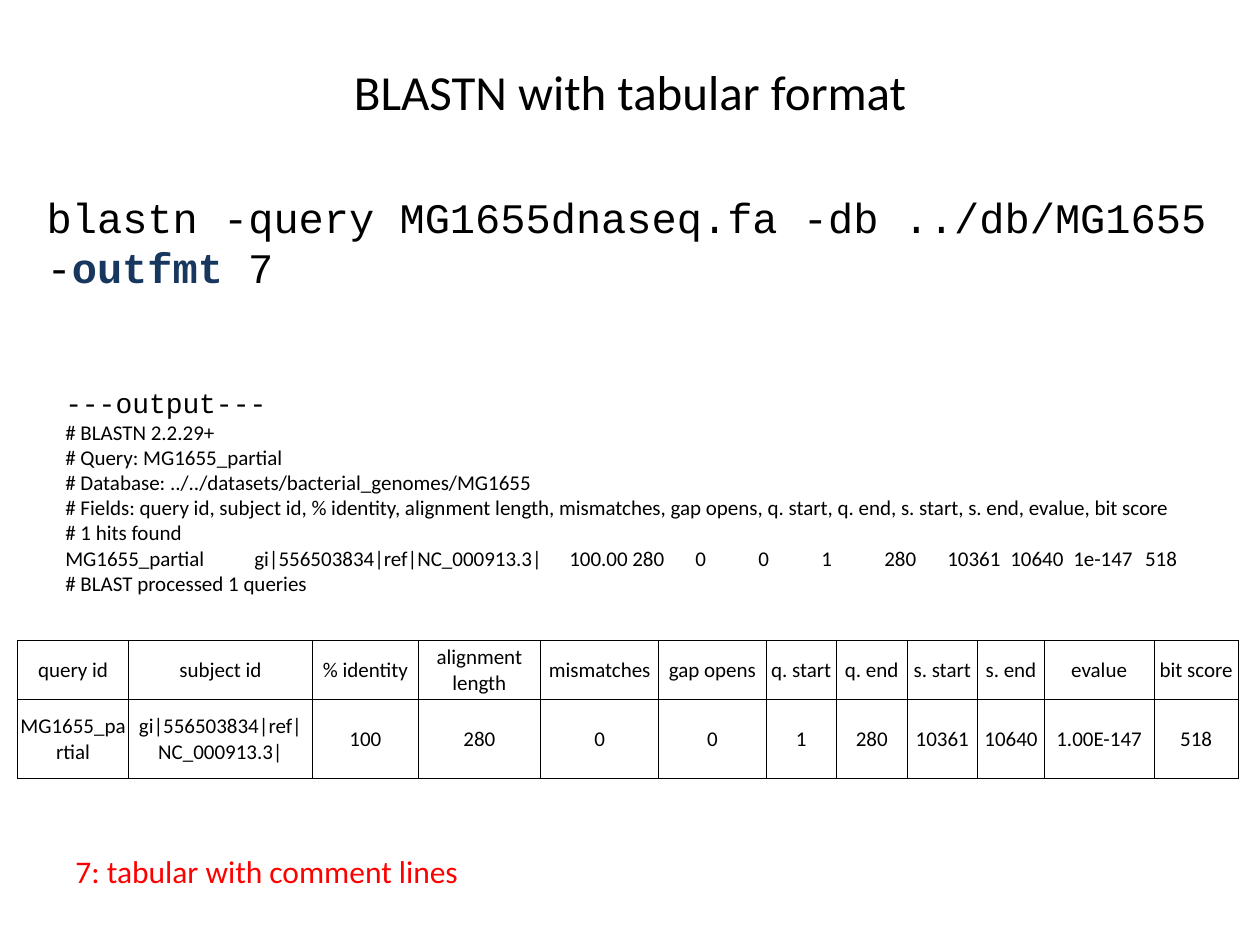
"""Build a slide showing BLASTN output in tabular format."""
import pptx
import pptx.dml.color
import pptx.enum.text
import pptx.oxml
import pptx.oxml.ns
import pptx.util

THEME = {
    "sans": "Calibri", "mono": "Courier New",
    "ink": "000000", "accent": "17375E", "note": "FF0000",
    "title": 28, "command": 24, "caption": 18, "heading": 16, "small": 12,
}
NAMESPACE = pptx.oxml.ns.nsdecls("a")
CENTER = pptx.enum.text.PP_ALIGN.CENTER
MIDDLE = pptx.enum.text.MSO_ANCHOR.MIDDLE

deck = pptx.Presentation()
deck.slide_width = pptx.util.Inches(10)
deck.slide_height = pptx.util.Inches(7.5)
slide = deck.slides.add_slide(deck.slide_layouts[1])


def share(left, top, width, height):
    """Turn percentages of the slide into a left, top, width, height tuple."""
    across, down = deck.slide_width / 100, deck.slide_height / 100
    return int(left * across), int(top * down), int(width * across), int(height * down)


def style(font, face, size, color="ink"):
    """Apply a face, size and colour of the theme to a font."""
    font.name = THEME[face]
    font.size = pptx.util.Pt(THEME[size])
    font.color.rgb = pptx.dml.color.RGBColor.from_string(THEME[color])


title = slide.shapes.title
title.left, title.top, title.width, title.height = share(5, 4, 90, 11.33)
title.text_frame.text = "BLASTN with tabular format"
title.text_frame.vertical_anchor = MIDDLE
para = title.text_frame.paragraphs[0]
para.alignment = CENTER
style(para.font, "sans", "title")

command = slide.placeholders[1]
command.left, command.top, command.width, command.height = share(2.7, 18.8, 94.5, 12.4)
command.text_frame.margin_top = pptx.util.Inches(0.11)
para = command.text_frame.paragraphs[0]
properties = para._p.get_or_add_pPr()
properties.set("marL", "0")
properties.set("indent", "0")
properties.append(pptx.oxml.parse_xml(f"<a:buNone {NAMESPACE}/>"))
para.space_before = pptx.util.Pt(0)
for text, bold, color in [
    ("blastn -query MG1655dnaseq.fa -db ../db/MG1655 -", False, "ink"),
    ("outfmt", True, "accent"),
    (" 7", False, "ink"),
]:
    span = para.add_run()
    span.text = text
    span.font.bold = bold
    style(span.font, "mono", "command", color)

hit = ["MG1655_partial", "gi|556503834|ref|NC_000913.3|", "100.00", "280", "0", "0",
       "1", "280", "10361", "10640", "1e-147", "518"]
lines = [
    "---output---",
    "# BLASTN 2.2.29+",
    "# Query: MG1655_partial",
    "# Database: ../../datasets/bacterial_genomes/MG1655",
    "# Fields: query id, subject id, % identity, alignment length, mismatches, "
    "gap opens, q. start, q. end, s. start, s. end, evalue, bit score",
    "# 1 hits found",
    "\t".join(hit),
    "# BLAST processed 1 queries",
]
output = slide.shapes.add_textbox(*share(4.2, 40.13, 91.7, 23.73))
output.text_frame.word_wrap = True
output.text_frame.text = "\n".join(lines)
stops = [1.5] + [4 + step / 2 for step in range(9)] + [8.57]
tabs = "".join(f'<a:tab pos="{pptx.util.Inches(stop)}" algn="l"/>' for stop in stops)
for index, para in enumerate(output.text_frame.paragraphs):
    if "\t" in lines[index]:
        para._p.get_or_add_pPr().append(
            pptx.oxml.parse_xml(f"<a:tabLst {NAMESPACE}>{tabs}</a:tabLst>"))
    if index == 0:
        style(para.font, "mono", "heading")
    else:
        style(para.font, "sans", "small")

rows = [
    ["query id", "subject id", "% identity", "alignment length", "mismatches", "gap opens",
     "q. start", "q. end", "s. start", "s. end", "evalue", "bit score"],
    hit[:2] + ["100"] + hit[3:10] + ["1.00E-147", "518"],
]
widths = [0.88, 1.46, 0.84, 0.97, 0.94, 0.85, 0.56, 0.56, 0.56, 0.53, 0.87, 0.67]
heights = [0.47, 0.63]
table = slide.shapes.add_table(
    len(rows), len(widths), *share(1.4, 67.73, 96.7, 14.67)).table
table.first_row = table.horz_banding = False
for column, width in zip(table.columns, widths):
    column.width = pptx.util.Inches(width)
for row, height, values in zip(table.rows, heights, rows):
    row.height = pptx.util.Inches(height)
    for cell, value in zip(row.cells, values):
        cell.text = value
        cell.vertical_anchor = MIDDLE
        cell.margin_left = cell.margin_right = cell.margin_top = pptx.util.Inches(0.01)
        cell.margin_bottom = 0
        for side in "LRTB":
            cell._tc.get_or_add_tcPr().append(pptx.oxml.parse_xml(
                f'<a:ln{side} {NAMESPACE} w="{pptx.util.Pt(0.5)}"><a:solidFill>'
                f'<a:srgbClr val="{THEME["ink"]}"/></a:solidFill></a:ln{side}>'))
        cell.fill.background()
        para = cell.text_frame.paragraphs[0]
        para.alignment = CENTER
        style(para.font, "sans", "small")

caption = slide.shapes.add_textbox(*share(5, 89.47, 32.8, 5.33))
caption.text_frame.word_wrap = False
caption.text_frame.text = "7: tabular with comment lines"
style(caption.text_frame.paragraphs[0].font, "sans", "caption", "note")

deck.save("out.pptx")
